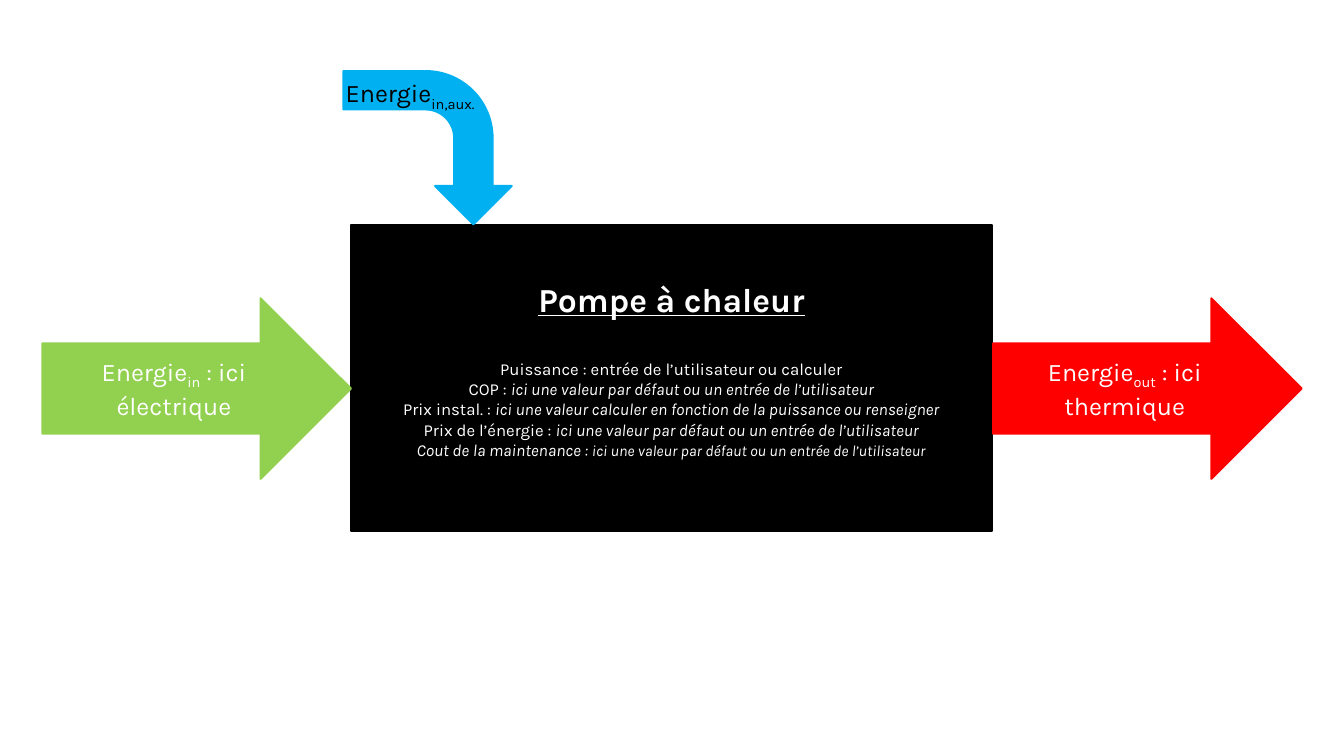
from pptx import Presentation
from pptx.dml.color import RGBColor
from pptx.enum.shapes import MSO_SHAPE
from pptx.enum.text import MSO_ANCHOR, MSO_AUTO_SIZE, PP_ALIGN
from pptx.util import Inches, Pt

RECT = MSO_SHAPE.RECTANGLE
RIGHT = MSO_SHAPE.RIGHT_ARROW
BENT = MSO_SHAPE.BENT_ARROW
MIDDLE = MSO_ANCHOR.MIDDLE
CENTER = PP_ALIGN.CENTER
LEFT = PP_ALIGN.LEFT
FIXED = MSO_AUTO_SIZE.NONE
GROW = MSO_AUTO_SIZE.SHAPE_TO_FIT_TEXT

FONT = "Karla"
BLACK, WHITE = "000000", "FFFFFF"
GREEN, RED, BLUE = "92D050", "FF0000", "00B0F0"

USER = "ici une valeur par défaut ou un entrée de l’utilisateur"
COST = "ici une valeur calculer en fonction de la puissance ou renseigner"
# Each line: label, label is italic, value, value size
LINES = [
    ("Puissance : entrée de l’utilisateur ou calculer", False, "", 12),
    ("COP : ", False, USER, 12),
    ("Prix instal. : ", False, COST, 12),
    ("Prix de l’énergie : ", False, USER, 12),
    ("Cout de la maintenance : ", True, USER, 11),
]


def rgb(code):
    return RGBColor.from_string(code)


def style(run, size, color=WHITE, bold=False, italic=False, under=False):
    font = run.font
    font.name, font.size = FONT, Pt(size)
    font.bold, font.italic, font.underline = bold, italic, under
    font.color.rgb = rgb(color)


def add_run(para, text, size, color=WHITE, italic=False):
    run = para.add_run()
    run.text = text
    style(run, size, color, italic=italic)
    return run


def add_block(slide, kind, box, color):
    shape = slide.shapes.add_shape(kind, *map(Inches, box))
    shape.shadow.inherit = False
    shape.fill.solid()
    shape.fill.fore_color.rgb = rgb(color)
    shape.line.color.rgb = rgb(color)
    shape.line.width = Pt(1.5)
    shape.text_frame.word_wrap = True
    shape.text_frame.vertical_anchor = MIDDLE
    return shape


def add_flow(frame, index, rest="", color=WHITE, align=CENTER):
    """Write 'Energie' with a subscript, then the rest of the label."""
    para = frame.paragraphs[0]
    para.alignment = align
    add_run(para, "Energie", 18, color)
    low = add_run(para, index, 18, color)
    low.font._element.set("baseline", "-25000")
    if rest:
        add_run(para, rest, 18, color)


def add_pump(slide):
    shape = add_block(slide, RECT, (3.48, 2.23, 6.36, 3.04), BLACK)
    frame = shape.text_frame
    frame.margin_top = Inches(0.67)
    for i, (label, slant, value, size) in enumerate(LINES):
        para = frame.add_paragraph() if i else frame.paragraphs[0]
        para.alignment = CENTER
        add_run(para, label, 12, italic=slant)
        if value:
            add_run(para, value, size, italic=True)


def add_title(slide, text):
    title = slide.shapes.title
    title.left, title.top = Inches(3.48), Inches(2.72)
    title.width, title.height = Inches(6.36), Inches(0.5)
    frame = title.text_frame
    frame.text = text
    frame.auto_size = FIXED
    frame.vertical_anchor = MIDDLE
    para = frame.paragraphs[0]
    para.alignment = CENTER
    style(para.runs[0], 24, bold=True, under=True)
    # Bring the title in front of the black box
    title.element.getparent().append(title.element)


def main():
    prs = Presentation()
    prs.slide_width, prs.slide_height = Inches(13.33), Inches(7.5)
    slide = prs.slides.add_slide(prs.slide_layouts[5])

    # Heat pump
    add_pump(slide)
    add_title(slide, "Pompe à chaleur")

    # Energy in and out
    for left, color, index, rest in (
        (0.42, GREEN, "in", " : ici électrique"),
        (9.85, RED, "out", " : ici thermique"),
    ):
        arrow = add_block(slide, RIGHT, (left, 2.96, 3.06, 1.79), color)
        add_flow(arrow.text_frame, index, rest)

    # Auxiliary energy
    bend = add_block(slide, BENT, (3.48, 0.63, 1.52, 1.67), BLUE)
    bend.rotation = 90
    label = slide.shapes.add_textbox(*map(Inches, (3.33, 0.72, 1.51, 0.4)))
    label.text_frame.word_wrap = True
    label.text_frame.auto_size = GROW
    add_flow(label.text_frame, "in,aux.", color=BLACK, align=LEFT)

    prs.save("out.pptx")


if __name__ == "__main__":
    main()
